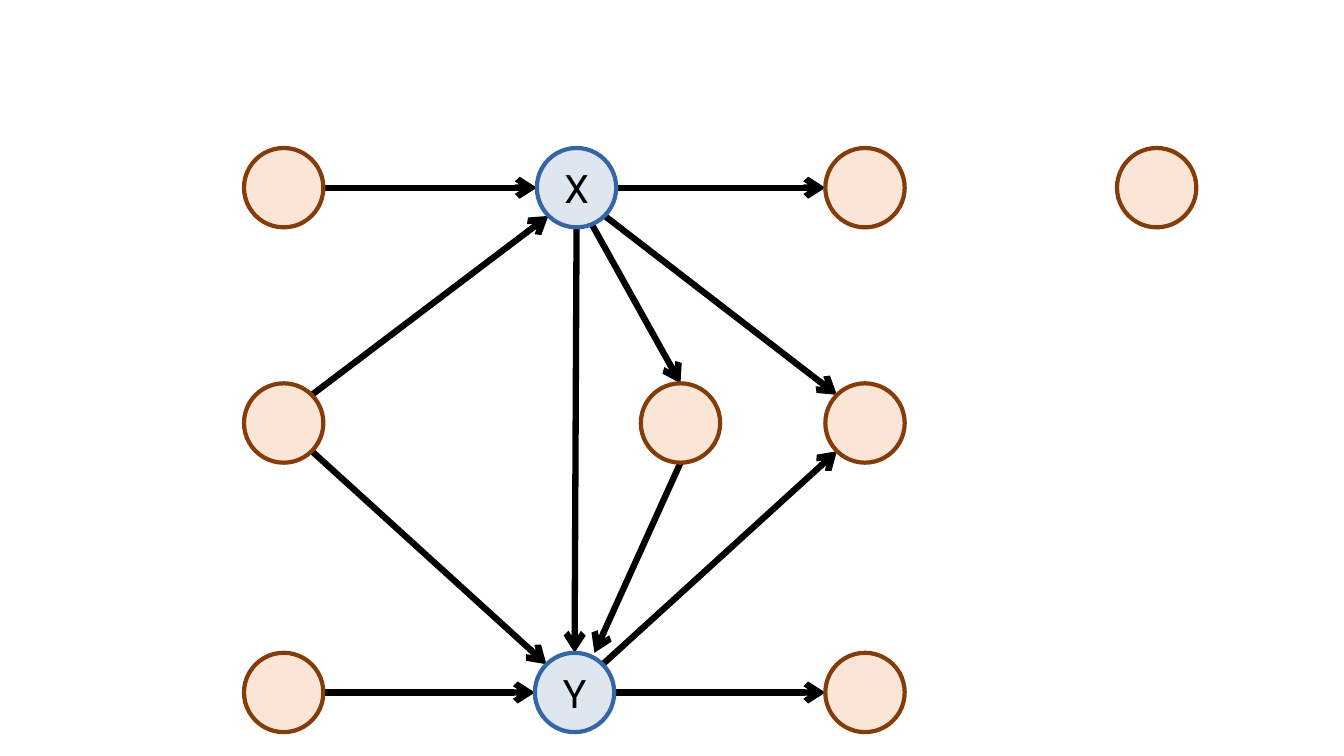
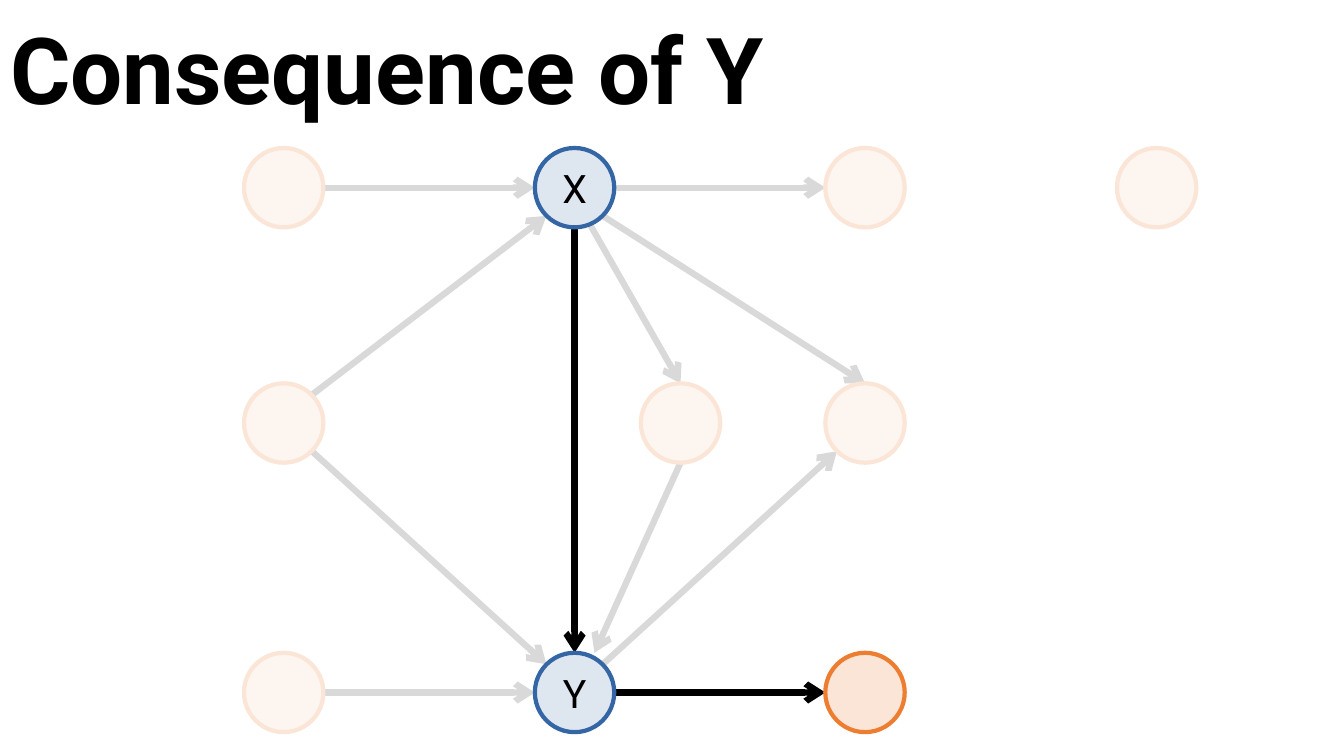
from lxml import etree
from pptx import Presentation
from pptx.dml.color import RGBColor
from pptx.enum.shapes import MSO_CONNECTOR, MSO_SHAPE
from pptx.enum.text import MSO_ANCHOR, MSO_AUTO_SIZE, PP_ALIGN
from pptx.oxml.ns import qn
from pptx.util import Cm, Pt

OVAL, STRAIGHT = MSO_SHAPE.OVAL, MSO_CONNECTOR.STRAIGHT
MIDDLE, NO_FIT = MSO_ANCHOR.MIDDLE, MSO_AUTO_SIZE.NONE
LEFT, CENTER = PP_ALIGN.LEFT, PP_ALIGN.CENTER

# Shared colours and text styles
BLACK = RGBColor(0x00, 0x00, 0x00)
GREY = RGBColor(0xD9, 0xD9, 0xD9)
BLUE = RGBColor(0x34, 0x65, 0xA4)
ICE = RGBColor(0xDE, 0xE6, 0xEF)
BROWN = RGBColor(0x84, 0x3C, 0x0B)
ORANGE = RGBColor(0xED, 0x7D, 0x31)
PEACH = RGBColor(0xFB, 0xE5, 0xD6)
CREAM = RGBColor(0xFD, 0xF5, 0xEF)

TITLE = {"name": "Roboto", "size": Pt(66), "bold": True}
LABEL = {"name": "Roboto", "size": Pt(28), "bold": False}

# Node looks: fill and outline
MAIN, PLAIN = (ICE, BLUE), (PEACH, BROWN)
FAINT, FOCUS = (CREAM, PEACH), (PEACH, ORANGE)

WIDE, HIGH = 33.87, 19.05
BOX = (6.15, 3.73)  # left and top of the graph, in cm
RAD = 1  # node radius, in cm

# Node centres inside the graph box
COL1, COL2, COL3, COL4, COL5 = 1, 8.33, 11, 15.65, 23
ROW1, ROW2, ROW3 = 1, 6.93, 13.72
NODES = {
    "cause X": (COL1, ROW1), "cause both": (COL1, ROW2), "cause Y": (COL1, ROW3),
    "X": (COL2, ROW1), "Y": (COL2, ROW3), "between": (COL3, ROW2),
    "from X": (COL4, ROW1), "from both": (COL4, ROW2), "from Y": (COL4, ROW3),
    "alone": (COL5, ROW1),
}

# Points on a node's rim, in radii from its centre
RIM = {
    "n": (0, -1), "s": (0, 1), "w": (-1, 0), "e": (1, 0),
    "nw": (-0.71, -0.71), "ne": (0.71, -0.71),
    "sw": (-0.71, 0.71), "se": (0.71, 0.71),
    "nne": (0.5, -1), "sse": (0.35, 0.86),
}

# Arrows: each pair of nodes with the rim points it leaves and meets
LINKS = {
    ("X", "from both"): ("se", "nw"),
    ("Y", "from both"): ("ne", "sw"),
    ("X", "Y"): ("s", "n"),
    ("cause X", "X"): ("e", "w"),
    ("X", "from X"): ("e", "w"),
    ("Y", "from Y"): ("e", "w"),
    ("X", "between"): ("sse", "n"),
    ("between", "Y"): ("s", "nne"),
    ("cause Y", "Y"): ("e", "w"),
    ("cause both", "X"): ("ne", "sw"),
    ("cause both", "Y"): ("se", "nw"),
}


def style(para, form, align):
    para.alignment = align
    for key, val in form.items():
        setattr(para.font, key, val)
    para.font.color.rgb = BLACK


def add_title(slide, text):
    head = slide.shapes.title
    spot = {"left": 0, "top": 0.05, "width": WIDE, "height": 3.68}
    for key, val in spot.items():
        setattr(head, key, Cm(val))
    frame = head.text_frame
    frame.text = text
    frame.auto_size = NO_FIT
    frame.vertical_anchor = MIDDLE
    para = frame.paragraphs[0]
    para.line_spacing = 0.9
    style(para, TITLE, LEFT)


def add_node(slide, x, y, look, text=""):
    node = slide.shapes.add_shape(
        OVAL, Cm(x - RAD), Cm(y - RAD), Cm(2 * RAD), Cm(2 * RAD))
    node.shadow.inherit = False
    node.fill.solid()
    node.fill.fore_color.rgb, node.line.color.rgb = look
    node.line.width = Pt(3)
    if text:
        frame = node.text_frame
        frame.text = text
        frame.word_wrap = False
        frame.vertical_anchor = MIDDLE
        for side in ("left", "top", "right", "bottom"):
            setattr(frame, "margin_" + side, 0)
        style(frame.paragraphs[0], LABEL, CENTER)


def add_arrow(slide, start, end, color):
    arrow = slide.shapes.add_connector(
        STRAIGHT, *[Cm(val) for val in (*start, *end)])
    arrow.line.color.rgb = color
    arrow.line.width = Pt(4.5)
    # Open arrowhead, no shadow
    props = arrow.line._get_or_add_ln()
    etree.SubElement(props, qn("a:tailEnd"), type="arrow")
    etree.SubElement(arrow._element.spPr, qn("a:effectLst"))


def add_graph(slide, box, nodes, links, look, color, focus=()):
    """Draw the graph at box; links in focus and what they reach stand out."""
    spots = {name: (box[0] + x, box[1] + y) for name, (x, y) in nodes.items()}

    def rim(name, side):
        return [mid + RAD * off for mid, off in zip(spots[name], RIM[side])]

    for pair, sides in links.items():
        start, end = map(rim, pair, sides)
        add_arrow(slide, start, end, BLACK if pair in focus else color)
    lit = {end for _, end in focus}
    for name, (x, y) in spots.items():
        if name in ("X", "Y"):
            add_node(slide, x, y, MAIN, name)
        else:
            add_node(slide, x, y, FOCUS if name in lit else look)


def main():
    prs = Presentation()
    prs.slide_width, prs.slide_height = Cm(WIDE), Cm(HIGH)

    # Whole graph, X slightly to the right of Y
    slide = prs.slides.add_slide(prs.slide_layouts[6])
    add_graph(slide, BOX, NODES | {"X": (COL2 + 0.05, ROW1)}, LINKS, PLAIN, BLACK)

    # Consequence of Y stands out
    slide = prs.slides.add_slide(prs.slide_layouts[5])
    add_title(slide, "Consequence of Y")
    links = LINKS | {("X", "from both"): ("se", "n")}
    add_graph(slide, BOX, NODES, links, FAINT, GREY, [("X", "Y"), ("Y", "from Y")])

    prs.save("out.pptx")


if __name__ == "__main__":
    main()
